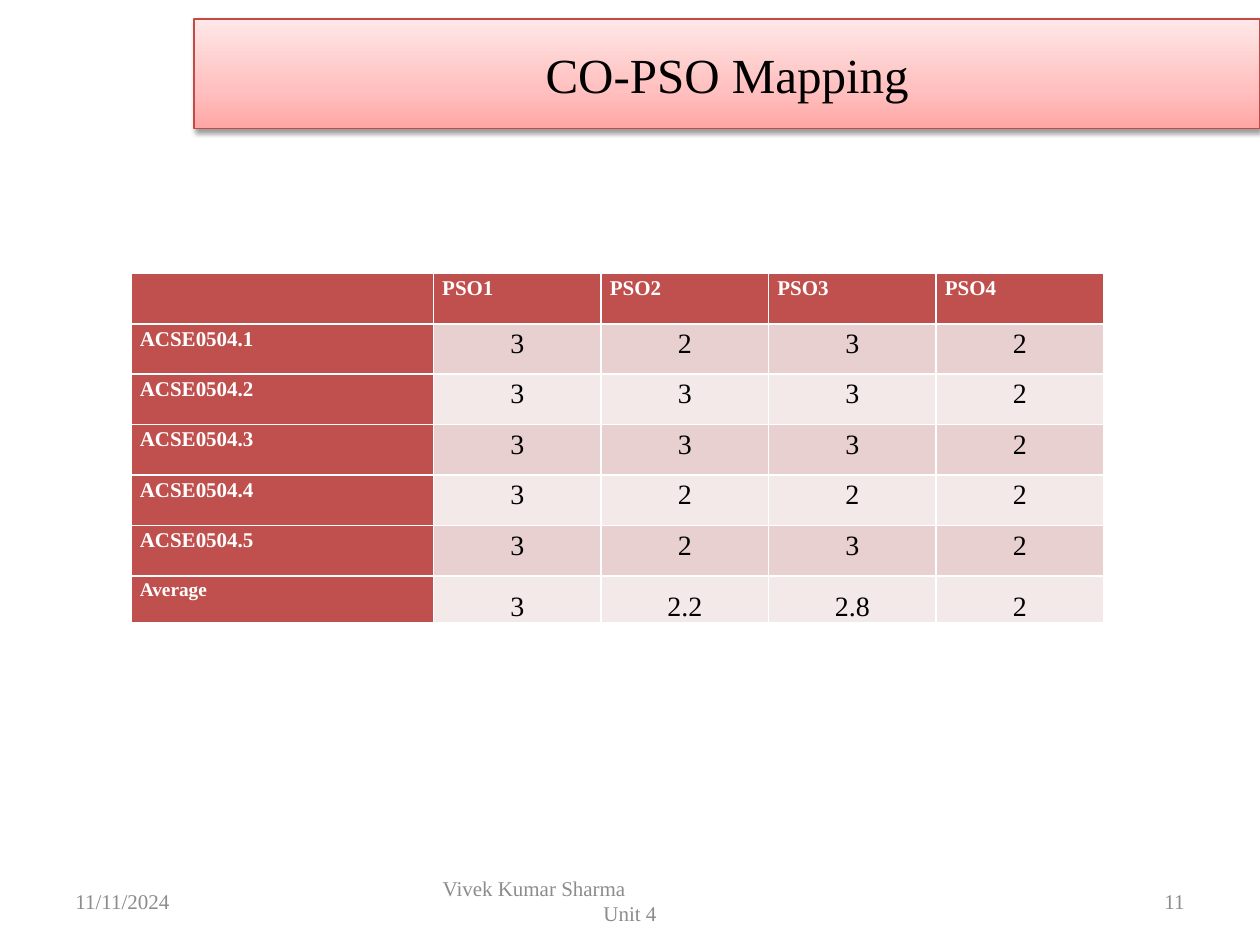
from lxml.etree import SubElement
from pptx import Presentation
from pptx.dml.color import RGBColor
from pptx.enum.text import MSO_ANCHOR, PP_ALIGN
from pptx.oxml.ns import qn
from pptx.util import Inches, Pt

FONT = "Times New Roman"
ACCENT, BAND_DARK, BAND_LIGHT = "C0504D", "E8D0D0", "F4E9E9"
MAPPING = [
    ("", "PSO1", "PSO2", "PSO3", "PSO4"),
    ("ACSE0504.1", "3", "2", "3", "2"),
    ("ACSE0504.2", "3", "3", "3", "2"),
    ("ACSE0504.3", "3", "3", "3", "2"),
    ("ACSE0504.4", "3", "2", "2", "2"),
    ("ACSE0504.5", "3", "2", "3", "2"),
    ("Average", "3", "2.2", "2.8", "2"),
]


def color(value):
    return RGBColor.from_string(value)


def format_paragraph(paragraph, size, hex_color, alignment, bold=False):
    paragraph.alignment = alignment
    font = paragraph.font
    font.name, font.size, font.bold = FONT, Pt(size), bold
    font.color.rgb = color(hex_color)


def place(shape, box):
    shape.left, shape.top, shape.width, shape.height = map(Inches, box)


def add_gradient(shape, stops, angle):
    gradient = SubElement(shape.element.spPr, qn("a:gradFill"), rotWithShape="1")
    stop_list = SubElement(gradient, qn("a:gsLst"))
    for position, value in stops:
        stop = SubElement(stop_list, qn("a:gs"), pos=str(position * 1000))
        SubElement(stop, qn("a:srgbClr"), val=value)
    SubElement(gradient, qn("a:lin"), ang=str(angle * 60000), scaled="0")


def add_shadow(shape):
    effects = SubElement(shape.element.spPr, qn("a:effectLst"))
    shadow = SubElement(effects, qn("a:outerShdw"), blurRad=str(Pt(3.1)),
                        dist=str(Pt(1.6)), dir="5400000", rotWithShape="0")
    shadow_color = SubElement(shadow, qn("a:srgbClr"), val="000000")
    SubElement(shadow_color, qn("a:alpha"), val="38000")


def add_title(slide, box):
    title = slide.shapes.title
    place(title, box)
    add_gradient(title, [(0, "FFA6A5"), (35, "FFC0BF"), (100, "FFE7E7")], 270)
    title.line.color.rgb = color("BF4C48")
    title.line.width = Pt(0.75)
    add_shadow(title)
    title.text_frame.text = "CO-PSO Mapping"
    title.text_frame.vertical_anchor = MSO_ANCHOR.MIDDLE
    format_paragraph(title.text_frame.paragraphs[0], 28, "000000", PP_ALIGN.CENTER)


def add_mapping_table(slide, box):
    table = slide.shapes.add_table(len(MAPPING), len(MAPPING[0]),
                                   *map(Inches, box)).table
    table.first_col = True
    last = len(MAPPING) - 1
    for index, column in enumerate(table.columns):
        column.width = Inches(1.33 if index else 2.4)
    for index, row in enumerate(table.rows):
        row.height = Inches(0.37 if index == last else 0.4)

    for row_index, values in enumerate(MAPPING):
        band = BAND_DARK if row_index % 2 else BAND_LIGHT
        for column_index, value in enumerate(values):
            cell = table.cell(row_index, column_index)
            is_heading = row_index == 0 or column_index == 0
            cell.margin_left = cell.margin_right = Inches(0.07)
            cell.margin_top = cell.margin_bottom = 0
            cell.fill.solid()
            cell.fill.fore_color.rgb = color(ACCENT if is_heading else band)
            cell.text = value
            paragraph = cell.text_frame.paragraphs[0]
            paragraph.line_spacing = 1.15
            if is_heading:
                alignment = PP_ALIGN.LEFT if row_index else PP_ALIGN.JUSTIFY
                size = 11 if row_index == last else 12
                format_paragraph(paragraph, size, "FFFFFF", alignment, bold=True)
            else:
                format_paragraph(paragraph, 16, "000000", PP_ALIGN.CENTER)
                if row_index == last:
                    cell.vertical_anchor = MSO_ANCHOR.BOTTOM


def add_footer_text(slide, box, lines):
    frame = slide.shapes.add_textbox(*map(Inches, box)).text_frame
    frame.word_wrap = True
    frame.vertical_anchor = MSO_ANCHOR.MIDDLE
    frame.text = "\n".join(text for text, _ in lines)
    for paragraph, (_, alignment) in zip(frame.paragraphs, lines):
        format_paragraph(paragraph, 12, "8C8C8C", alignment)


def add_footer(slide, left, top, width, height):
    side_width, center_width = 2.33, 3.17
    center_left = left + (width - center_width) / 2
    right_left = left + width - side_width
    add_footer_text(slide, (left, top, side_width, height),
                    [("11/11/2024", PP_ALIGN.LEFT)])
    add_footer_text(slide, (center_left, top, center_width, height),
                    [("Vivek Kumar Sharma", PP_ALIGN.LEFT),
                     ("Unit 4", PP_ALIGN.CENTER)])
    add_footer_text(slide, (right_left, top, side_width, height),
                    [("11", PP_ALIGN.RIGHT)])


def main():
    presentation = Presentation()
    presentation.slide_width, presentation.slide_height = Inches(10), Inches(7.5)
    slide = presentation.slides.add_slide(presentation.slide_layouts[5])
    # Footer: date, author with unit, page number
    add_footer(slide, 0.5, 6.95, 9, 0.4)
    # Title banner
    add_title(slide, (1.54, 0.15, 8.46, 0.87))
    # Course outcomes against programme outcomes
    add_mapping_table(slide, (1.04, 2.17, 7.72, 2.77))
    presentation.save("out.pptx")


if __name__ == "__main__":
    main()
